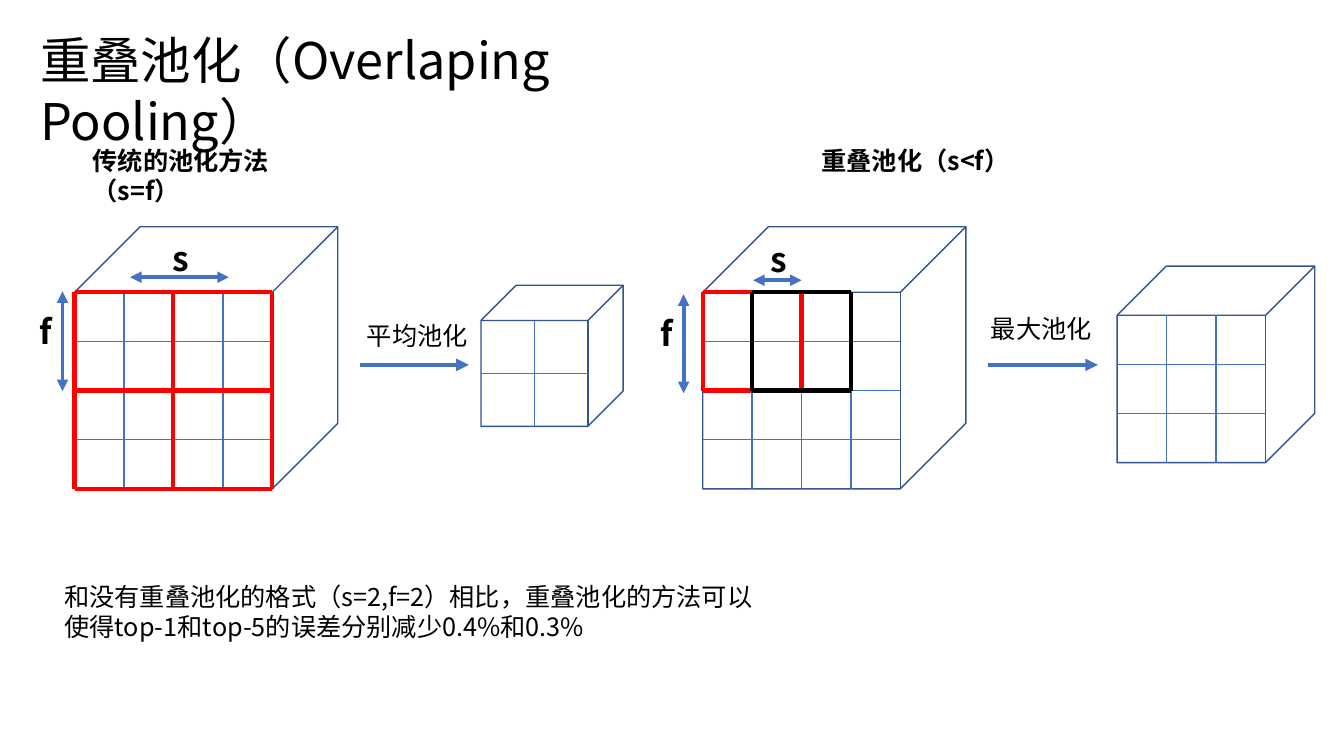
from dataclasses import dataclass

from lxml.etree import SubElement
from pptx import Presentation
from pptx.dml.color import RGBColor
from pptx.enum.shapes import MSO_CONNECTOR, MSO_SHAPE
from pptx.enum.text import MSO_AUTO_SIZE
from pptx.oxml.ns import qn
from pptx.util import Inches, Pt

FONT = "Noto Sans CJK SC"
BLUE = "4472C4"
OUTLINE = "325491"
RED = "FF0000"
BLACK = "000000"
DEPTH = 0.25


@dataclass
class Cube:
    left: float
    top: float
    width: float
    height: float
    cells: int

    def x(self, col: int) -> float:
        front = self.width - DEPTH * self.height
        return self.left + front * col / self.cells

    def y(self, row: int) -> float:
        front = self.height * (1 - DEPTH)
        return self.top + DEPTH * self.height + front * row / self.cells


@dataclass
class Window:
    cube: Cube
    cols: tuple[int, ...]
    rows: tuple[int, ...]
    color: str


@dataclass
class Arrow:
    x1: float
    y1: float
    x2: float
    y2: float
    width: float = 2.75
    double: bool = True


@dataclass
class Label:
    text: str
    left: float
    top: float
    width: float
    height: float = 0.4
    size: int = 18
    bold: bool = False
    wrap: bool = True


def rgb(color: str) -> RGBColor:
    return RGBColor.from_string(color)


def draw_line(shapes, x1: float, y1: float, x2: float, y2: float,
              color: str, width: float):
    sp = shapes.add_connector(MSO_CONNECTOR.STRAIGHT, Inches(x1), Inches(y1),
                              Inches(x2), Inches(y2))
    sp.line.color.rgb = rgb(color)
    sp.line.width = Pt(width)
    SubElement(sp._element.spPr, qn("a:effectLst"))
    return sp


def draw_cube(shapes, cube: Cube) -> None:
    sp = shapes.add_shape(MSO_SHAPE.CUBE, Inches(cube.left), Inches(cube.top),
                          Inches(cube.width), Inches(cube.height))
    sp.shadow.inherit = False
    sp.fill.background()
    sp.line.color.rgb = rgb(OUTLINE)
    sp.line.width = Pt(1)


def draw_grid(shapes, cube: Cube, inner: tuple[int, ...]) -> None:
    n = cube.cells
    for i in inner:
        draw_line(shapes, cube.x(0), cube.y(i), cube.x(n), cube.y(i), BLUE, 1)
        draw_line(shapes, cube.x(i), cube.y(0), cube.x(i), cube.y(n), BLUE, 1)


def draw_window(shapes, window: Window) -> None:
    xs = [window.cube.x(col) for col in window.cols]
    ys = [window.cube.y(row) for row in window.rows]
    for x in xs:
        draw_line(shapes, x, ys[0], x, ys[-1], window.color, 3)
    for y in ys:
        draw_line(shapes, xs[0], y, xs[-1], y, window.color, 3)


def draw_arrow(shapes, arrow: Arrow) -> None:
    sp = draw_line(shapes, arrow.x1, arrow.y1, arrow.x2, arrow.y2, BLUE, arrow.width)
    ln = sp.line._get_or_add_ln()
    if arrow.double:
        SubElement(ln, qn("a:headEnd"), type="triangle")
    SubElement(ln, qn("a:tailEnd"), type="triangle")


def draw_label(shapes, label: Label) -> None:
    sp = shapes.add_textbox(Inches(label.left), Inches(label.top),
                            Inches(label.width), Inches(label.height))
    tf = sp.text_frame
    tf.word_wrap = label.wrap
    tf.auto_size = MSO_AUTO_SIZE.SHAPE_TO_FIT_TEXT
    tf.text = label.text
    r = tf.paragraphs[0].runs[0]
    r.font.size = Pt(label.size)
    r.font.bold = label.bold
    r.font.name = FONT
    r.font.color.rgb = rgb(BLACK)
    SubElement(r.font._element, qn("a:ea"), typeface=FONT)


PLAIN_INPUT = Cube(0.74, 2.25, 2.61, 2.6, 4)
PLAIN_OUTPUT = Cube(4.77, 2.83, 1.41, 1.4, 2)
OVERLAP_INPUT = Cube(6.97, 2.25, 2.61, 2.6, 4)
OVERLAP_OUTPUT = Cube(11.08, 2.64, 1.96, 1.95, 3)

GRIDS = [
    (PLAIN_INPUT, (1, 3)),
    (PLAIN_OUTPUT, (1,)),
    (OVERLAP_INPUT, (1, 2, 3)),
    (OVERLAP_OUTPUT, (1, 2)),
]
WINDOWS = [
    Window(PLAIN_INPUT, (0, 2, 4), (0, 2, 4), RED),
    Window(OVERLAP_INPUT, (0, 2), (0, 2), RED),
    Window(OVERLAP_INPUT, (1, 3), (0, 2), BLACK),
]
ARROWS = [
    Arrow(3.57, 3.62, 4.65, 3.62, 3, False),
    Arrow(1.29, 2.75, 2.27, 2.75),
    Arrow(0.62, 3.88, 0.62, 2.89),
    Arrow(9.8, 3.62, 10.89, 3.62, 3, False),
    Arrow(7.47, 2.78, 7.95, 2.78),
    Arrow(6.78, 3.9, 6.78, 2.92),
]
LABELS = [
    Label("重叠池化（Overlaping Pooling）", 0.3, 0.24, 7.6, 0.71, 36),
    Label("传统的池化方法（s=f）", 0.82, 1.39, 2.62, bold=True),
    Label("平均池化", 3.54, 3.13, 1.21, wrap=False),
    Label("s", 1.61, 2.31, 0.34, 0.5, 24, True),
    Label("f", 0.29, 3.04, 0.34, 0.5, 24, True),
    Label("重叠池化（s<f）", 8.05, 1.39, 2.62, bold=True),
    Label("最大池化", 9.73, 3.06, 1.21, wrap=False),
    Label("s", 7.54, 2.32, 0.34, 0.5, 24, True),
    Label("f", 6.45, 3.06, 0.34, 0.5, 24, True),
    Label("和没有重叠池化的格式（s=2,f=2）相比，重叠池化的方法可以"
          "使得top-1和top-5的误差分别减少0.4%和0.3%", 0.54, 5.72, 7.17, 0.71),
]


def main() -> None:
    prs = Presentation()
    prs.slide_width = Inches(13.33)
    prs.slide_height = Inches(7.5)
    s = prs.slides.add_slide(prs.slide_layouts[6])
    for cube, inner in GRIDS:
        draw_cube(s.shapes, cube)
        draw_grid(s.shapes, cube, inner)
    for window in WINDOWS:
        draw_window(s.shapes, window)
    for arrow in ARROWS:
        draw_arrow(s.shapes, arrow)
    for label in LABELS:
        draw_label(s.shapes, label)
    prs.save("out.pptx")


if __name__ == "__main__":
    main()
